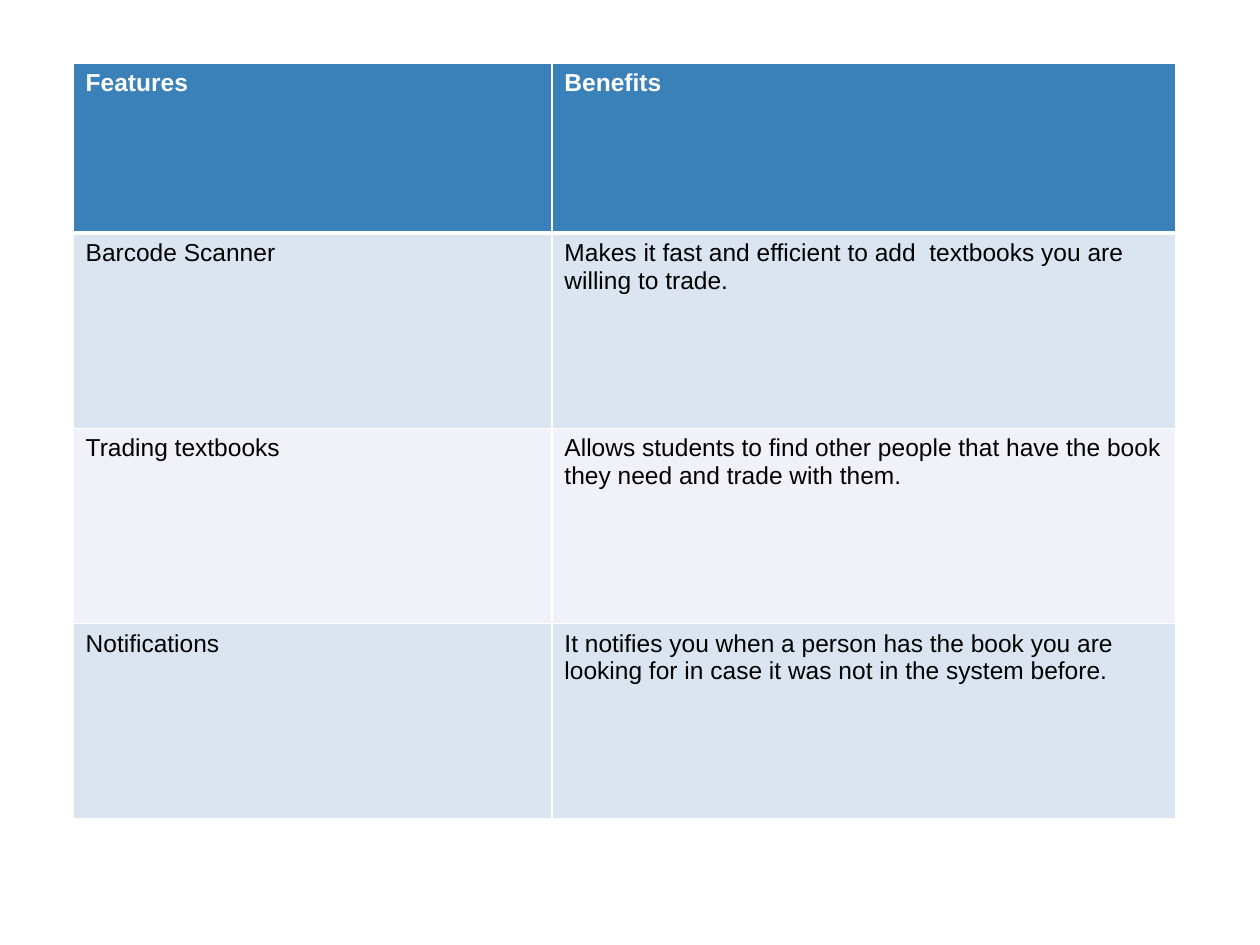
from dataclasses import dataclass

import pptx
import pptx.dml.color
import pptx.oxml.ns
import pptx.util
from lxml import etree

Pt = pptx.util.Pt

COLORS = {
    "header": "3A81BA",
    "band_dark": "DBE5F1",
    "band_light": "EFF3F9",
    "white": "FFFFFF",
    "black": "000000",
}
FONT = "Arial"
FONT_SIZE = 14
THIN, THICK = 1, 3
LEFT, TOP = 41.76, 36
COLUMN_WIDTHS = (273.6, 356.4)
HEADER_HEIGHT, BODY_HEIGHT = 97.2, 111.6


@dataclass
class Entry:
    feature: str
    benefit: str


HEADING = Entry("Features", "Benefits")
ENTRIES = [
    Entry("Barcode Scanner",
          "Makes it fast and efficient to add  textbooks you are willing to trade."),
    Entry("Trading textbooks",
          "Allows students to find other people that have the book they need "
          "and trade with them."),
    Entry("Notifications",
          "It notifies you when a person has the book you are looking for "
          "in case it was not in the system before."),
]


def rgb(name: str) -> pptx.dml.color.RGBColor:
    return pptx.dml.color.RGBColor.from_string(COLORS[name])


def set_borders(cell, top: float, bottom: float) -> None:
    """Draw white borders; the sides are always thin."""
    qn = pptx.oxml.ns.qn
    properties = cell._tc.get_or_add_tcPr()
    widths = {"a:lnL": THIN, "a:lnR": THIN, "a:lnT": top, "a:lnB": bottom}
    for position, (side, width) in enumerate(widths.items()):
        line = etree.Element(qn(side), w=str(int(Pt(width))))
        fill = etree.SubElement(line, qn("a:solidFill"))
        etree.SubElement(fill, qn("a:srgbClr"), val=COLORS["white"])
        properties.insert(position, line)


def fill_row(table, row: int, entry: Entry, fill: str, ink: str) -> None:
    for column, wording in enumerate((entry.feature, entry.benefit)):
        cell = table.cell(row, column)
        cell.fill.solid()
        cell.fill.fore_color.rgb = rgb(fill)
        cell.text_frame.text = wording
        font = cell.text_frame.paragraphs[0].runs[0].font
        font.name = FONT
        font.size = Pt(FONT_SIZE)
        font.bold = row == 0
        font.color.rgb = rgb(ink)
        # The rule under the heading is shared by the first two rows
        set_borders(cell, THICK if row == 1 else THIN, THICK if row == 0 else THIN)


def main() -> None:
    presentation = pptx.Presentation()
    presentation.slide_width, presentation.slide_height = Pt(720), Pt(540)
    slide = presentation.slides.add_slide(presentation.slide_layouts[6])

    # Table grid
    row_heights = [HEADER_HEIGHT] + [BODY_HEIGHT] * len(ENTRIES)
    features_table = slide.shapes.add_table(
        len(row_heights), len(COLUMN_WIDTHS), Pt(LEFT), Pt(TOP),
        Pt(sum(COLUMN_WIDTHS)), Pt(sum(row_heights))).table
    for column, width in zip(features_table.columns, COLUMN_WIDTHS):
        column.width = Pt(width)
    for row, height in zip(features_table.rows, row_heights):
        row.height = Pt(height)

    # Heading, then alternating bands
    fill_row(features_table, 0, HEADING, "header", "white")
    for number, entry in enumerate(ENTRIES, start=1):
        band = "band_dark" if number % 2 else "band_light"
        fill_row(features_table, number, entry, band, "black")

    presentation.save("out.pptx")


if __name__ == "__main__":
    main()
